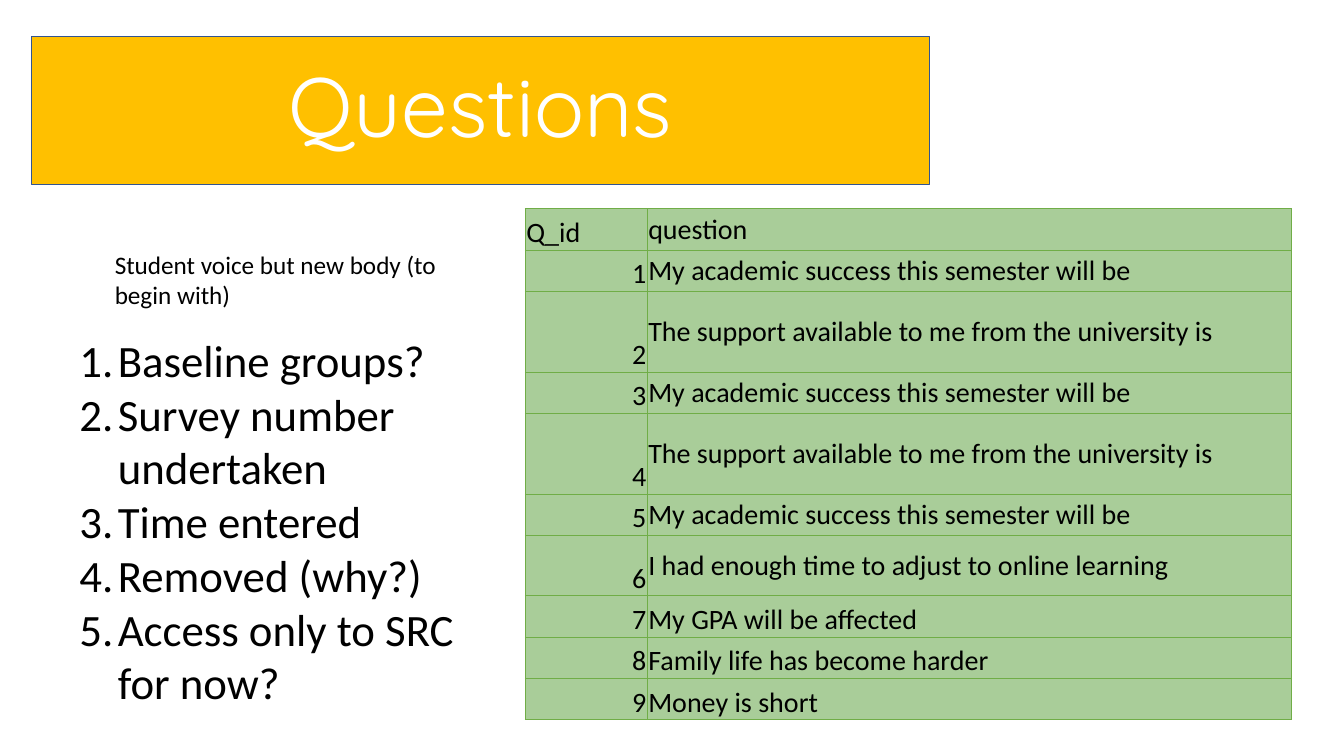
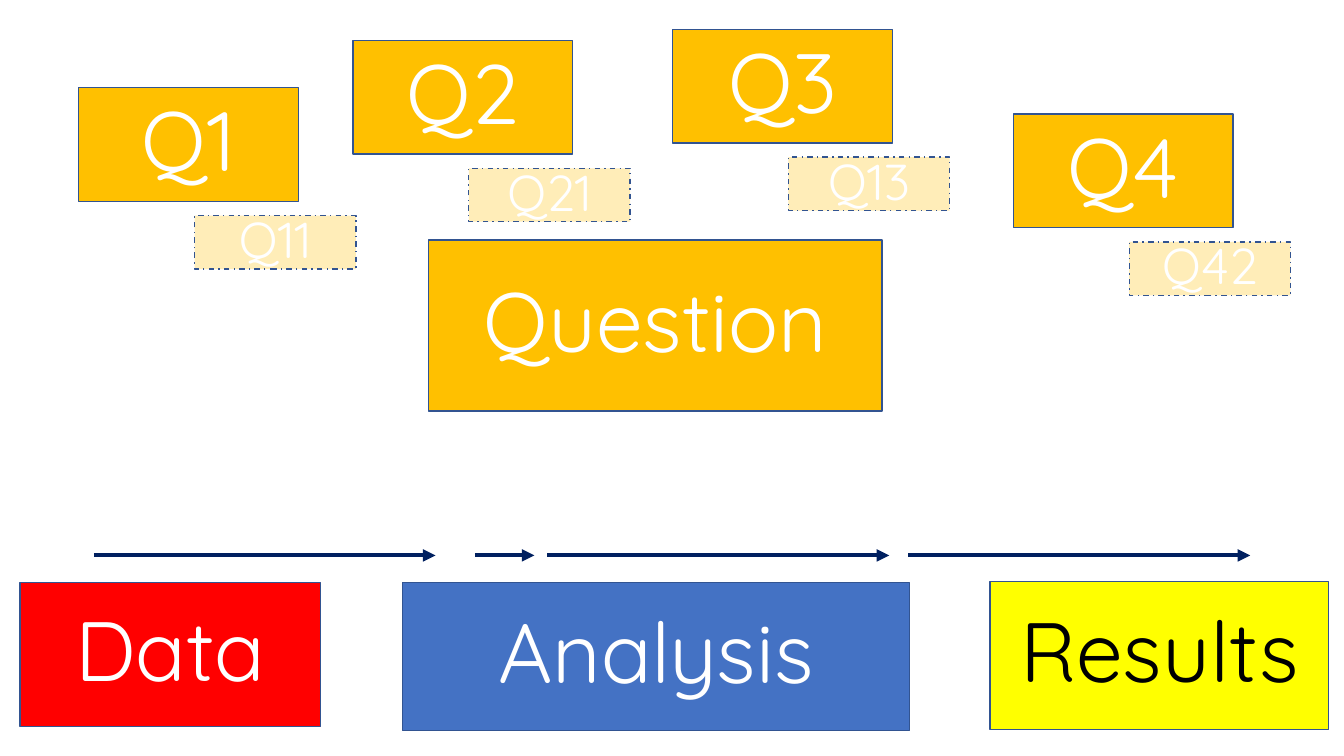
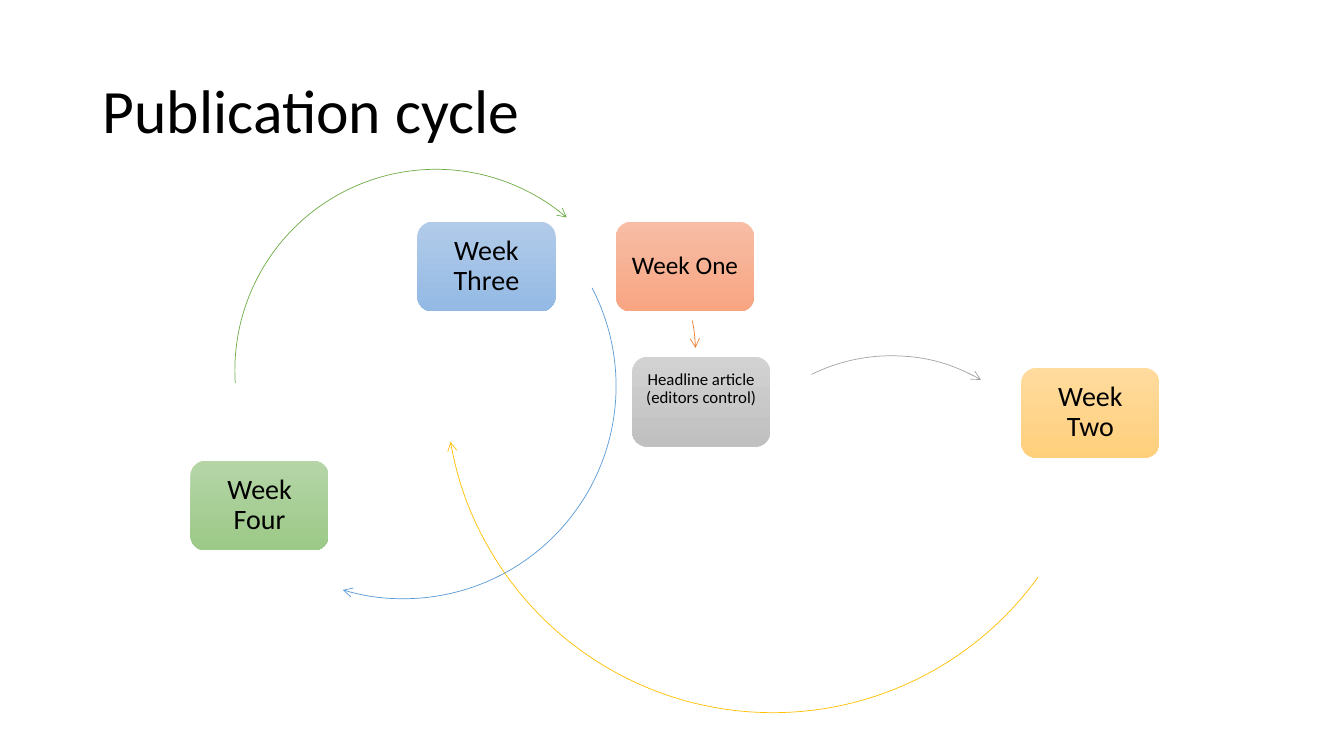
"""Build a three-slide deck on survey questions, analysis and publication."""
from dataclasses import dataclass

from lxml.etree import SubElement
from pptx import Presentation
from pptx.dml.color import RGBColor
from pptx.enum.dml import MSO_LINE
from pptx.enum.shapes import MSO_CONNECTOR, MSO_SHAPE
from pptx.enum.text import MSO_ANCHOR, MSO_AUTO_SIZE, PP_ALIGN
from pptx.oxml.ns import qn
from pptx.util import Inches, Pt

TITLE_ONLY, BLANK = 5, 6


@dataclass(frozen=True)
class Theme:
    body_font: str = "Calibri"
    display_font: str = "Quicksand"
    display: int = 60
    title: int = 44
    small_display: int = 36
    numbered: int = 32
    body: int = 20
    note: int = 18
    caption: int = 12
    black: str = "000000"
    white: str = "FFFFFF"
    gold: str = "FFC000"
    blue: str = "4472C4"
    red: str = "FF0000"
    yellow: str = "FFFF00"
    outline: str = "325491"
    navy: str = "002060"
    green: str = "70AD47"
    pale_green: str = "A9CD99"
    orange: str = "ED7D31"
    grey: str = "A5A5A5"
    sky: str = "5B9BD5"


THEME = Theme()


def rgb(colour):
    return RGBColor.from_string(colour)


def inches(values):
    return [Inches(value) for value in values]


class Deck:
    def __init__(self, theme):
        self.theme = theme
        self.deck = Presentation()
        self.deck.slide_width, self.deck.slide_height = inches((13.33, 7.5))
        self.page = None

    def add_page(self, layout):
        self.page = self.deck.slides.add_slide(self.deck.slide_layouts[layout])

    def set_text(self, frame, lines, size, colour=None, font=None, align=PP_ALIGN.LEFT,
                 anchor=MSO_ANCHOR.TOP, spacing=None):
        frame.word_wrap = True
        frame.vertical_anchor = anchor
        frame.text = "\n".join(lines)
        for para in frame.paragraphs:
            para.alignment = align
            if spacing:
                para.line_spacing = spacing
            para.font.size = Pt(size)
            para.font.name = font or self.theme.body_font
            para.font.color.rgb = rgb(colour or self.theme.black)

    def outline(self, shape, colour, width, dash=None, arrow=None):
        shape.line.color.rgb = rgb(colour)
        shape.line.width = Pt(width)
        if dash:
            shape.line.dash_style = dash
        if arrow:
            line = shape.element.spPr.find(qn("a:ln"))
            SubElement(line, qn("a:tailEnd"), type=arrow)

    def title(self, text, place):
        box = self.page.shapes.title
        box.left, box.top, box.width, box.height = inches(place)
        box.text_frame.auto_size = MSO_AUTO_SIZE.NONE
        self.set_text(box.text_frame, [text], self.theme.title,
                      anchor=MSO_ANCHOR.MIDDLE, spacing=0.9)
        return box

    def banner(self, box, text, fill, colour=None, size=None, opacity=None, dash=None):
        box.fill.solid()
        box.fill.fore_color.rgb = rgb(fill)
        if opacity:
            paint = box.element.spPr.find(qn("a:solidFill"))[0]
            SubElement(paint, qn("a:alpha"), val=str(opacity * 1000))
        self.outline(box, self.theme.outline, 1, dash)
        self.set_text(box.text_frame, [text], size or self.theme.display,
                      colour or self.theme.white, self.theme.display_font,
                      PP_ALIGN.CENTER, MSO_ANCHOR.MIDDLE, 0.9)

    def preset(self, kind, place):
        shape = self.page.shapes.add_shape(kind, *inches(place))
        shape.shadow.inherit = False
        return shape

    def block(self, text, place, fill, **style):
        self.banner(self.preset(MSO_SHAPE.RECTANGLE, place), text, fill, **style)

    def text(self, lines, place, size, numbered=False):
        frame = self.page.shapes.add_textbox(*inches(place)).text_frame
        self.set_text(frame, lines, size)
        frame.auto_size = MSO_AUTO_SIZE.SHAPE_TO_FIT_TEXT
        if not numbered:
            return
        indent = Inches(0.38)
        for para in frame.paragraphs:
            props = para._p.get_or_add_pPr()
            props.set("marL", str(indent))
            props.set("indent", str(-indent))
            bullet = SubElement(props, qn("a:buAutoNum"), type="arabicPeriod")
            props.find(qn("a:defRPr")).addprevious(bullet)

    def cell(self, cell, text, align, anchor):
        cell.margin_left = cell.margin_right = cell.margin_top = Inches(0.01)
        cell.margin_bottom = 0
        self.set_text(cell.text_frame, [text], self.theme.body, align=align)
        cell.vertical_anchor = anchor
        props = cell._tc.get_or_add_tcPr()
        for side in ("lnL", "lnR", "lnT", "lnB"):
            border = SubElement(props, qn(f"a:{side}"), w=str(Pt(0.5)))
            paint = SubElement(border, qn("a:solidFill"))
            SubElement(paint, qn("a:srgbClr"), val=self.theme.green)
        cell.fill.solid()
        cell.fill.fore_color.rgb = rgb(self.theme.pale_green)

    def question_table(self, rows, heights, widths, place):
        table = self.page.shapes.add_table(len(rows), len(widths), *inches(place)).table
        table.first_row = table.horz_banding = False
        for column, width in zip(table.columns, widths):
            column.width = Inches(width)
        for index, (number, question) in enumerate(rows):
            table.rows[index].height = Inches(heights[index])
            id_align = PP_ALIGN.RIGHT if index else PP_ALIGN.LEFT
            anchor = MSO_ANCHOR.MIDDLE if index < 7 else MSO_ANCHOR.BOTTOM
            self.cell(table.cell(index, 0), number, id_align, MSO_ANCHOR.BOTTOM)
            self.cell(table.cell(index, 1), question, PP_ALIGN.LEFT, anchor)

    def arrow(self, left, right, y):
        line = self.page.shapes.add_connector(
            MSO_CONNECTOR.STRAIGHT, *inches((left, y, right, y)))
        self.outline(line, self.theme.navy, 3, arrow="triangle")
        SubElement(line.element.spPr, qn("a:effectLst"))

    def step(self, text, left, top, shades, size, inset, anchor=MSO_ANCHOR.MIDDLE):
        box = self.preset(MSO_SHAPE.ROUNDED_RECTANGLE, (left, top, 1.37, 0.89))
        box.fill.gradient()
        box.fill.gradient_angle = 270
        for stop, shade in zip(box.fill.gradient_stops, shades):
            stop.color.rgb = rgb(shade)
        box.line.fill.background()
        frame = box.text_frame
        frame.margin_left = frame.margin_right = Inches(inset)
        frame.margin_top = frame.margin_bottom = Inches(0.1)
        self.set_text(frame, [text], size, align=PP_ALIGN.CENTER, anchor=anchor, spacing=0.9)

    def arc(self, left, top, diameter, start, end, colour):
        arc = self.preset(MSO_SHAPE.ARC, (left, top, diameter, diameter))
        arc.fill.background()
        for index, degrees in enumerate((start, end)):
            arc.adjustments[index] = degrees * 0.6
        self.outline(arc, colour, 0.5, arrow="arrow")


def questions_page(deck):
    deck.add_page(TITLE_ONLY)
    title = deck.title("Questions", (0.31, 0.36, 8.91, 1.47))
    deck.banner(title, "Questions", THEME.gold)
    deck.text(["Student voice but new body (to begin with)"],
              (1.04, 2.42, 3.93, 0.71), THEME.note)
    success = "My academic success this semester will be"
    support = "The support available to me from the university is"
    questions = [success, support, success, support, success,
                 "I had enough time to adjust to online learning",
                 "My GPA will be affected", "Family life has become harder",
                 "Money is short"]
    rows = [("Q_id", "question")]
    rows += [(str(number), question) for number, question in enumerate(questions, 1)]
    tall = {2: 0.8, 4: 0.8, 6: 0.6}
    heights = [tall.get(index, 0.41) for index in range(len(rows))]
    deck.question_table(rows, heights, (1.21, 6.39), (5.21, 2.07, 7.6, 5.06))
    deck.text(["Baseline groups?", "Survey number undertaken", "Time entered",
               "Removed (why?)", "Access only to SRC for now?"],
              (0.69, 3.25, 3.93, 3.87), THEME.numbered, numbered=True)


def analysis_page(deck):
    deck.add_page(BLANK)
    deck.block("Analysis", (3.99, 5.78, 5.03, 1.47), THEME.blue)
    deck.block("Data", (0.2, 5.78, 2.98, 1.43), THEME.red)
    deck.block("Results", (9.82, 5.77, 3.36, 1.47), THEME.yellow, colour=THEME.black)
    deck.block("Question", (4.25, 2.38, 4.5, 1.7), THEME.gold)
    for left, right in ((0.93, 4.32), (4.71, 5.3), (5.43, 8.82), (9.01, 12.4)):
        deck.arrow(left, right, 5.51)
    for text, follow_up, left, top in (("Q1", "Q11", 0.78, 0.87),
                                       ("Q2", "Q21", 3.5, 0.4),
                                       ("Q3", "Q13", 6.67, 0.29),
                                       ("Q4", "Q42", 10.05, 1.13)):
        deck.block(text, (left, top, 2.18, 1.13), THEME.gold)
        deck.block(follow_up, (left + 1.15, top + 1.27, 1.6, 0.53), THEME.gold,
                   size=THEME.small_display, opacity=28, dash=MSO_LINE.DASH_DOT)


def publication_page(deck):
    deck.add_page(TITLE_ONLY)
    deck.title("Publication cycle", (0.92, 0.4, 11.5, 1.45))
    deck.step("Week One", 6.11, 2.2, ("F7BDA5", "F8A582"), THEME.note, 0.11)
    deck.step("Headline article (editors control)", 6.27, 3.54, ("D2D2D2", "C0C0C0"),
              THEME.caption, 0.09, MSO_ANCHOR.TOP)
    for text, left, top, shades in (("Week Two", 10.13, 3.65, ("FFDB9E", "FFD07C")),
                                    ("Week Three", 4.14, 2.2, ("B1CBE9", "93B9E4")),
                                    ("Week Four", 1.89, 4.57, ("B5D5A7", "9CC987"))):
        deck.step(text, left, top, shades, THEME.body, 0.12)
    for arc in ((3.34, 1.74, 3.56, 349, 357.8, THEME.orange),
                (7.06, 3.53, 3.56, 243.6, 300, THEME.grey),
                (4.42, 0.58, 6.49, 35.8, 170.1, THEME.gold),
                (1.89, 1.72, 4.22, 332.5, 106.5, THEME.sky),
                (2.33, 1.68, 3.99, 176.4, 310.5, THEME.green)):
        deck.arc(*arc)


def main():
    deck = Deck(THEME)
    questions_page(deck)
    analysis_page(deck)
    publication_page(deck)
    deck.deck.save("out.pptx")


if __name__ == "__main__":
    main()
